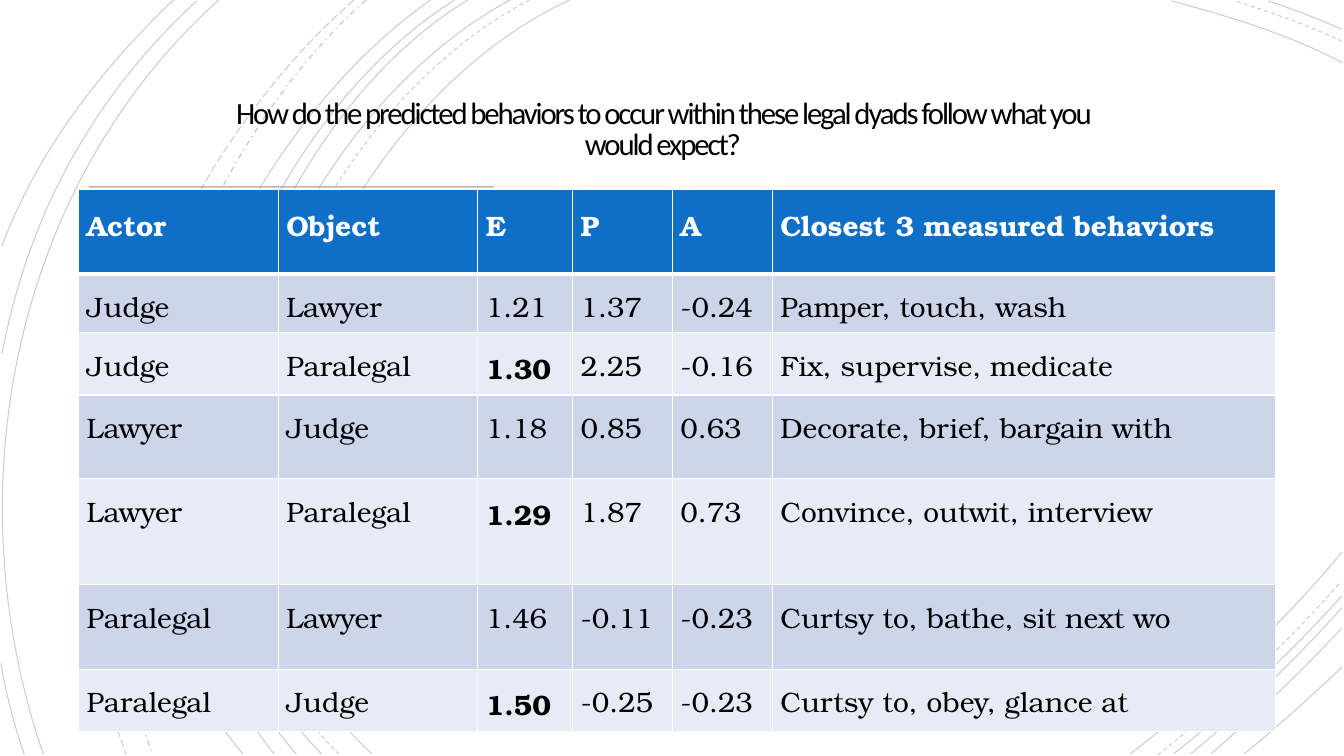
from pptx import Presentation
from pptx.dml.color import RGBColor
from pptx.enum.dml import MSO_LINE
from pptx.enum.shapes import MSO_SHAPE
from pptx.enum.text import MSO_ANCHOR, PP_ALIGN
from pptx.oxml.ns import qn
from pptx.util import Inches, Pt
from lxml import etree

SOLID, DASH = MSO_LINE.SOLID, MSO_LINE.DASH
DASH_DOT, LONG_DASH = MSO_LINE.DASH_DOT, MSO_LINE.LONG_DASH
RECTANGLE = MSO_SHAPE.RECTANGLE
MIDDLE, CENTER = MSO_ANCHOR.MIDDLE, PP_ALIGN.CENTER

BLACK = RGBColor(0x00, 0x00, 0x00)
WHITE = RGBColor(0xFF, 0xFF, 0xFF)
BLUE = RGBColor(0x0F, 0x6F, 0xC6)
RULE_GRAY = RGBColor(0x80, 0x8E, 0x9B)
BAND_DARK = RGBColor(0xCC, 0xD5, 0xEA)
BAND_LIGHT = RGBColor(0xE7, 0xEB, 0xF5)

TITLE = ("How do the predicted behaviors to occur within these legal dyads "
         "follow what you would expect?")
HEADER = ("Actor", "Object", "E", "P", "A", "Closest 3 measured behaviors")
DYADS = [
    ("Judge", "Lawyer", "1.21", "1.37", "-0.24", "Pamper, touch, wash"),
    ("Judge", "Paralegal", "1.30", "2.25", "-0.16", "Fix, supervise, medicate"),
    ("Lawyer", "Judge", "1.18", "0.85", "0.63", "Decorate, brief, bargain with"),
    ("Lawyer", "Paralegal", "1.29", "1.87", "0.73", "Convince, outwit, interview"),
    ("Paralegal", "Lawyer", "1.46", "-0.11", "-0.23", "Curtsy to, bathe, sit next wo"),
    ("Paralegal", "Judge", "1.50", "-0.25", "-0.23", "Curtsy to, obey, glance at"),
]
BOLD_VALUES = {"1.30", "1.29", "1.50"}
COLUMN_WIDTHS = (1.98, 1.98, 0.94, 0.99, 0.99, 4.99)
ROW_HEIGHTS = (0.84, 0.58, 0.62, 0.83, 1.05, 0.84, 0.62)

ARCS = [
    (SOLID, (5.65, 0), (3.15, 1.15), (1.43, 5.4), (3.69, 7.48)),
    (SOLID, (13.31, 0.62), (12.78, 0.34), (12.18, 0.16), (11.62, 0.01)),
    (SOLID, (11.21, 7.48), (11.97, 6.9), (12.69, 6.22), (13.31, 5.48)),
    (DASH, (5.25, 0), (2.85, 1.25), (1.23, 5.37), (3.36, 7.48)),
    (DASH, (13.31, 0.41), (12.97, 0.25), (12.6, 0.12), (12.25, 0.01)),
    (DASH, (11.48, 7.49), (12.13, 6.98), (12.75, 6.4), (13.3, 5.77)),
    (SOLID, (5.06, 0), (2.7, 1.27), (1.1, 5.37), (3.19, 7.48)),
    (SOLID, (13.31, 0.29), (13.07, 0.19), (12.83, 0.09), (12.58, 0.01)),
    (SOLID, (11.64, 7.48), (12.23, 7.01), (12.8, 6.48), (13.31, 5.91)),
    (SOLID, (4.64, 0), (2.44, 1.33), (1.1, 5.41), (2.94, 7.48)),
    (SOLID, (11.81, 7.48), (12.34, 7.04), (12.84, 6.55), (13.31, 6.03)),
    (SOLID, (4.51, 0), (2.31, 1.38), (0.97, 5.33), (2.72, 7.48)),
    (SOLID, (12.01, 7.48), (12.46, 7.09), (12.9, 6.67), (13.31, 6.23)),
    (SOLID, (4.27, 0), (2.17, 1.47), (0.53, 5.29), (2.41, 7.48)),
    (SOLID, (12.34, 7.48), (12.67, 7.21), (12.99, 6.92), (13.31, 6.62)),
    (DASH_DOT, (3.63, 0), (1.76, 1.66), (0.65, 5.09), (1.51, 7.48)),
    (LONG_DASH, (3.51, 0), (1.57, 1.69), (0.29, 4.99), (1.25, 7.48)),
    (SOLID, (2.17, 0), (0.11, 1.85), (-0.46, 4.9), (0.43, 7.48)),
    (SOLID, (1.95, 0.01), (0.92, 0.96), (0.28, 2.14), (0.02, 3.51)),
    (SOLID, (0.01, 6.58), (0.06, 6.89), (0.14, 7.19), (0.24, 7.48)),
    (SOLID, (1.72, 0), (1, 0.69), (0.37, 1.5), (0.02, 2.44)),
]


def add_arc(slide, dash, *points):
    start, *bends = [(round(x * 100), round(y * 100)) for x, y in points]
    builder = slide.shapes.build_freeform(*start, scale=Inches(0.01))
    builder.add_line_segments(bends, close=False)
    arc = builder.convert_to_shape()
    arc.shadow.inherit = False
    arc.fill.background()
    arc.line.color.rgb = BLACK
    arc.line.width = Pt(1 if dash == DASH_DOT else 0.75)
    arc.line.dash_style = dash
    ink = next(arc.line._ln.iter(qn("a:srgbClr")))
    etree.SubElement(ink, qn("a:alpha"), val="20000")
    segments = list(arc._element.iter(qn("a:lnTo")))
    curve = etree.SubElement(segments[0].getparent(), qn("a:cubicBezTo"))
    for segment in segments:
        curve.append(segment[0])
        segment.getparent().remove(segment)


def add_text(frame, text, font_name, size, color, spacing, bold=False):
    paragraph = frame.paragraphs[0]
    paragraph.line_spacing = spacing
    run = paragraph.add_run()
    run.text = text
    run.font.name = font_name
    run.font.size = Pt(size)
    run.font.bold = bold
    run.font.color.rgb = color
    return paragraph, run


def add_border(cell, side, points):
    border = etree.SubElement(cell._tc.get_or_add_tcPr(), qn(f"a:ln{side}"),
                              w=str(Pt(points)))
    paint = etree.SubElement(border, qn("a:solidFill"))
    etree.SubElement(paint, qn("a:srgbClr"), val=str(WHITE))


def add_title(slide):
    box = slide.shapes.add_textbox(Inches(1.83), Inches(0.72), Inches(9.49), Inches(1.15))
    frame = box.text_frame
    frame.word_wrap = True
    frame.vertical_anchor = MIDDLE
    frame.margin_left = frame.margin_right = Inches(0.25)
    frame.margin_top = frame.margin_bottom = Inches(0.25)
    paragraph, run = add_text(frame, TITLE, "Calibri", 22, BLACK, 0.85)
    paragraph.alignment = CENTER
    run.font._element.set("spc", "-150")


def add_title_rule(slide):
    rule = slide.shapes.add_shape(RECTANGLE, Inches(0.88), Inches(1.85),
                                  Inches(4.02), Inches(0.01))
    rule.shadow.inherit = False
    rule.fill.solid()
    rule.fill.fore_color.rgb = RULE_GRAY
    rule.line.fill.background()


def add_dyad_table(slide):
    rows = [HEADER] + DYADS
    table = slide.shapes.add_table(
        len(rows), len(HEADER), Inches(0.78), Inches(1.88),
        Inches(sum(COLUMN_WIDTHS)), Inches(sum(ROW_HEIGHTS))).table
    for column, width in zip(table.columns, COLUMN_WIDTHS):
        column.width = Inches(width)
    for r, (values, height) in enumerate(zip(rows, ROW_HEIGHTS)):
        table.rows[r].height = Inches(height)
        is_header = r == 0
        band = BLUE if is_header else BAND_DARK if r % 2 else BAND_LIGHT
        for c, value in enumerate(values):
            cell = table.cell(r, c)
            cell.margin_left = cell.margin_right = Inches(0.08)
            cell.margin_top = cell.margin_bottom = Inches(0.08)
            for side, points in (("L", 1), ("R", 1), ("T", 3 if r == 1 else 1),
                                 ("B", 3 if is_header else 1)):
                add_border(cell, side, points)
            cell.fill.solid()
            cell.fill.fore_color.rgb = band
            add_text(cell.text_frame, value, "TeX Gyre Bonum", 20,
                     WHITE if is_header else BLACK, 1.15,
                     is_header or value in BOLD_VALUES)


def main():
    deck = Presentation()
    deck.slide_width, deck.slide_height = Inches(13.33), Inches(7.5)
    slide = deck.slides.add_slide(deck.slide_layouts[6])
    for arc in ARCS:
        add_arc(slide, *arc)
    add_title_rule(slide)
    add_title(slide)
    add_dyad_table(slide)
    deck.save("out.pptx")


if __name__ == "__main__":
    main()
